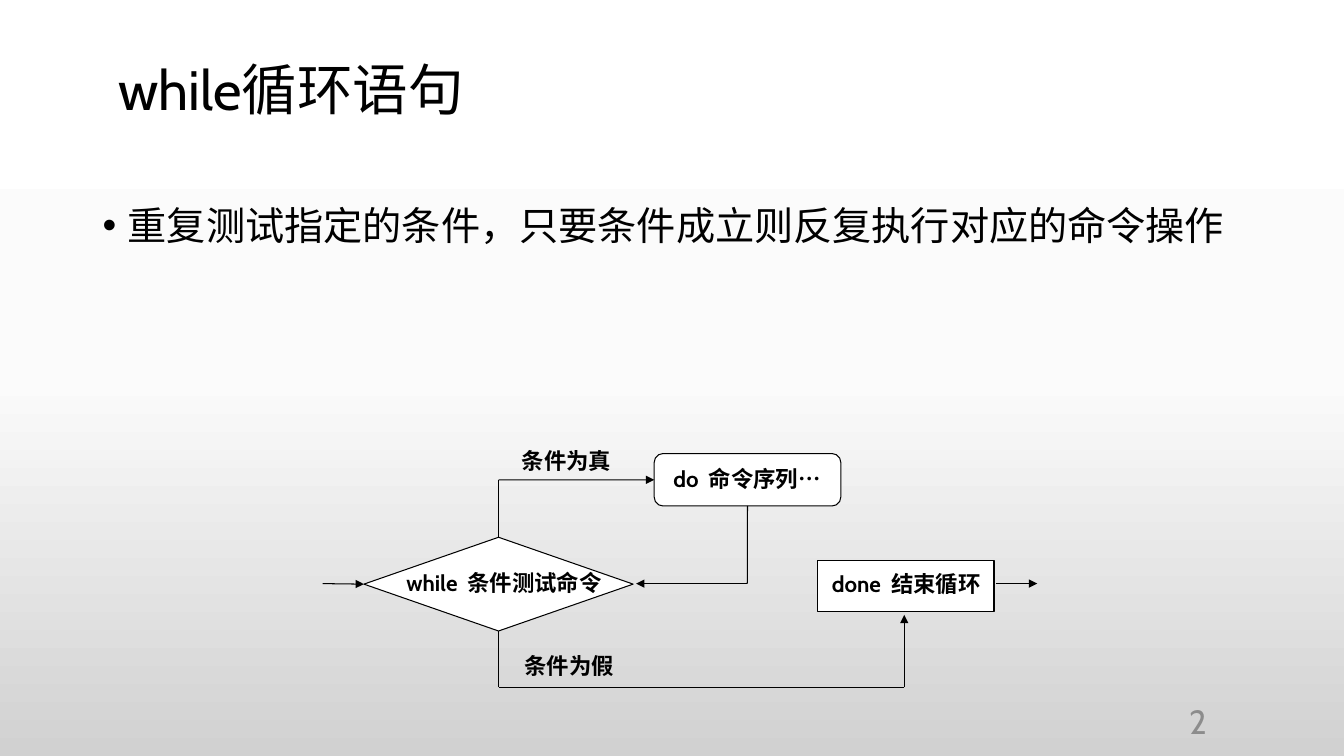
from dataclasses import dataclass
from typing import Optional

from lxml import etree
from pptx import Presentation
from pptx.dml.color import RGBColor
from pptx.enum.shapes import MSO_CONNECTOR, MSO_SHAPE
from pptx.enum.text import MSO_ANCHOR, PP_ALIGN
from pptx.oxml.ns import qn
from pptx.util import Inches, Pt

STRAIGHT = MSO_CONNECTOR.STRAIGHT
ALTERNATE = MSO_SHAPE.FLOWCHART_ALTERNATE_PROCESS
DECISION = MSO_SHAPE.FLOWCHART_DECISION
PROCESS = MSO_SHAPE.FLOWCHART_PROCESS
TOP, MIDDLE = MSO_ANCHOR.TOP, MSO_ANCHOR.MIDDLE
LEFT, CENTER, RIGHT = PP_ALIGN.LEFT, PP_ALIGN.CENTER, PP_ALIGN.RIGHT

BLACK = RGBColor(0x00, 0x00, 0x00)
WHITE = RGBColor(0xFF, 0xFF, 0xFF)
GRAY = RGBColor(0x8C, 0x8C, 0x8C)
BACKGROUND = ((0, WHITE), (50, RGBColor(0xFB, 0xFB, 0xFB)),
              (100, RGBColor(0xD1, 0xD1, 0xD1)))
FONT = "Cabin"
LINE_WIDTH = Pt(0.75)
WIDTH, HEIGHT = Inches(13.33), Inches(7.5)

# Flowchart columns and rows, in percent of the slide's width and height
TEST_X, DO_X, DONE_X = 37.1, 55.6, 67.28
TRUE_Y, TEST_Y, FALSE_Y = 63.47, 77.2, 90.93
LABEL_H = 4.93


@dataclass
class Node:
    name: str
    kind: int
    box: tuple[float, float, float, float]


@dataclass
class Label:
    text: str
    x: float
    y: float
    w: float


@dataclass
class Flow:
    start: tuple[float, float]
    end: tuple[float, float]
    arrow: bool = False
    start_joint: Optional[tuple[str, int]] = None
    end_joint: Optional[tuple[str, int]] = None


NODES = (
    Node("do", ALTERNATE, (48.68, 60, 13.88, 6.93)),
    Node("while", DECISION, (27.08, 71.07, 20.03, 12.4)),
    Node("done", PROCESS, (60.83, 74.13, 13.13, 6.8)),
)
SPINE = Flow((TEST_X, TRUE_Y), (TEST_X, FALSE_Y))
FLOWS = (
    Flow((24, TEST_Y), (27.08, TEST_Y), True, end_joint=("while", 1)),
    Flow((TEST_X, TRUE_Y), (48.68, TRUE_Y), True, end_joint=("do", 1)),
    Flow((DO_X, 66.93), (DO_X, TEST_Y), start_joint=("do", 2)),
    Flow((DO_X, TEST_Y), (47.33, TEST_Y), True),
    Flow((TEST_X, FALSE_Y), (DONE_X, FALSE_Y)),
    Flow((DONE_X, FALSE_Y), (DONE_X, 81.33), True),
    Flow((74.1, TEST_Y), (77.18, TEST_Y), True),
)
LABELS = (
    Label("while  条件测试命令", 27.83, 74.53, 19.35),
    Label("条件为真", 37.13, 58.4, 10.05),
    Label("条件为假", 38.1, 85.6, 8.48),
    Label("done  结束循环", 60.6, 74.67, 13.65),
    Label("do  命令序列…", 48.68, 60.8, 13.8),
)


def place(x: float, y: float) -> tuple[int, int]:
    """Turn percentages of the slide into lengths."""
    return round(WIDTH * x / 100), round(HEIGHT * y / 100)


def add_text(slide, text: str, box, *, size: float, color=BLACK, bold=False,
             align=LEFT, anchor=MIDDLE, wrap=True, spacing=1.0, bullet=False):
    x, y, w, h = box
    tf = slide.shapes.add_textbox(*place(x, y), *place(w, h)).text_frame
    tf.word_wrap = wrap
    tf.vertical_anchor = anchor
    p = tf.paragraphs[0]
    p.alignment = align
    p.line_spacing = spacing
    if bullet:
        p.space_before = Pt(10)
        props = p._p.get_or_add_pPr()
        props.set("marL", str(Inches(0.25)))
        props.set("indent", str(-Inches(0.25)))
        etree.SubElement(props, qn("a:buFont"), typeface="Arial")
        etree.SubElement(props, qn("a:buChar"), char="•")
    r = p.add_run()
    r.text = text
    r.font.name = FONT
    r.font.size = Pt(size)
    r.font.bold = bold
    r.font.color.rgb = color


def add_node(slide, node: Node):
    x, y, w, h = node.box
    sp = slide.shapes.add_shape(node.kind, *place(x, y), *place(w, h))
    sp.shadow.inherit = False
    sp.fill.solid()
    sp.fill.fore_color.rgb = WHITE
    sp.line.color.rgb = BLACK
    sp.line.width = LINE_WIDTH
    return sp


def add_flow(slide, flow: Flow, nodes: dict) -> None:
    line = slide.shapes.add_connector(STRAIGHT, *place(*flow.start),
                                      *place(*flow.end))
    if flow.start_joint:
        name, side = flow.start_joint
        line.begin_connect(nodes[name], side)
    if flow.end_joint:
        name, side = flow.end_joint
        line.end_connect(nodes[name], side)
    line.line.color.rgb = BLACK
    line.line.width = LINE_WIDTH
    if flow.arrow:
        etree.SubElement(line.line._get_or_add_ln(), qn("a:tailEnd"),
                         type="triangle")
    etree.SubElement(line._element.spPr, qn("a:effectLst"))


def set_background(slide) -> None:
    fill = slide.background.fill
    fill.gradient()
    fill.gradient_angle = 270
    stops = next(slide.element.iter(qn("a:gsLst")))
    for stop in list(stops):
        stops.remove(stop)
    for percent, color in BACKGROUND:
        stop = etree.SubElement(stops, qn("a:gs"), pos=str(percent * 1000))
        etree.SubElement(stop, qn("a:srgbClr"), val=str(color))


def main() -> None:
    prs = Presentation()
    prs.slide_width, prs.slide_height = WIDTH, HEIGHT
    slide = prs.slides.add_slide(prs.slide_layouts[6])
    set_background(slide)
    add_text(slide, "while循环语句", (8.1, 8.27, 47.55, 8), size=39.6,
             spacing=0.9)
    add_text(slide, "重复测试指定的条件，只要条件成立则反复执行对应的命令操作",
             (6.9, 26.67, 86.25, 63.47), size=28, anchor=TOP, spacing=0.9,
             bullet=True)
    add_text(slide, "2", (69.53, 92.67, 21, 5.33), size=24, color=GRAY,
             align=RIGHT)
    add_flow(slide, SPINE, {})
    nodes = {node.name: add_node(slide, node) for node in NODES}
    for flow in FLOWS:
        add_flow(slide, flow, nodes)
    for label in LABELS:
        add_text(slide, label.text, (label.x, label.y, label.w, LABEL_H),
                 size=16, bold=True, align=CENTER, wrap=False)
    prs.save("out.pptx")


if __name__ == "__main__":
    main()
